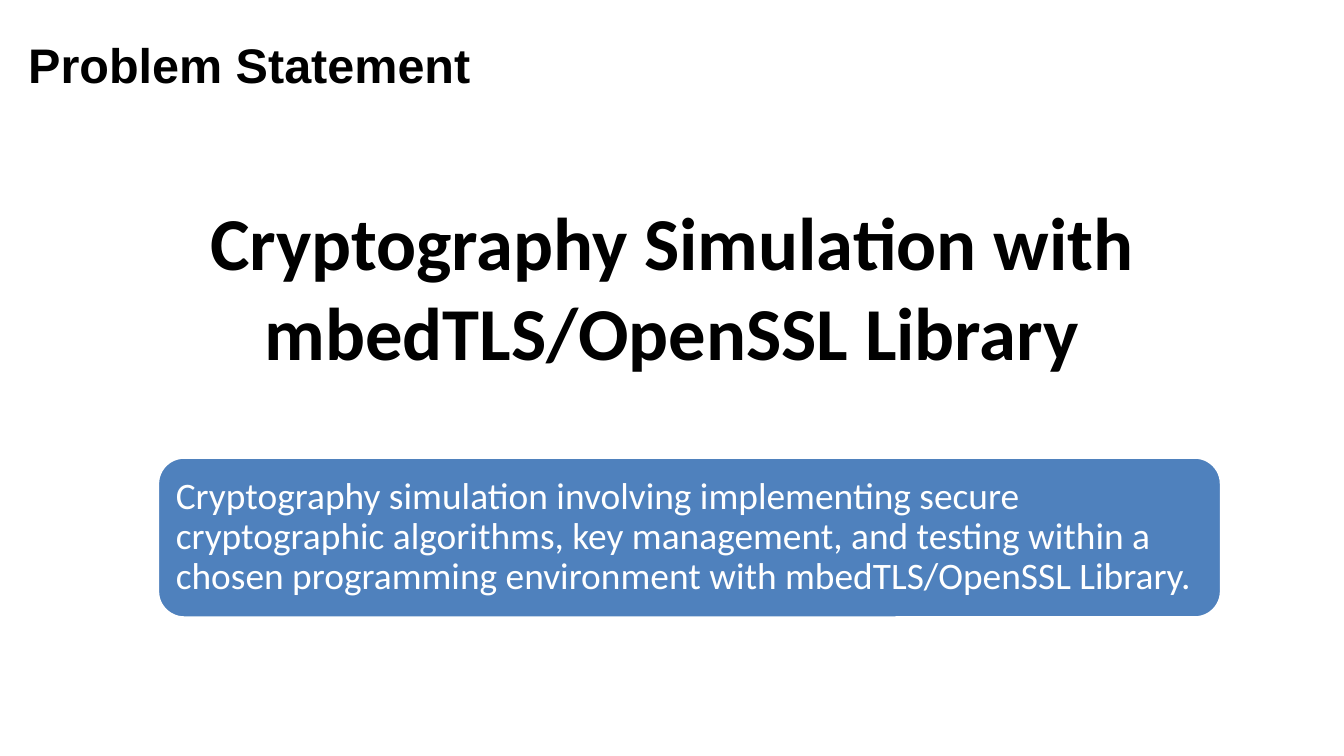
"""Build the problem statement slide: a heading, the project name and a summary box."""
import pptx
import pptx.dml.color
import pptx.enum.shapes
import pptx.enum.text
import pptx.util

Inches = pptx.util.Inches
Pt = pptx.util.Pt
RGBColor = pptx.dml.color.RGBColor
Align = pptx.enum.text.PP_ALIGN
Anchor = pptx.enum.text.MSO_ANCHOR
AutoSize = pptx.enum.text.MSO_AUTO_SIZE

COLORS = {"text": "000000", "box": "4F81BD", "light": "FFFFFF"}


def write_text(shape, lines, color, frame_format, paragraph_format, font_format):
    frame = shape.text_frame
    frame.text = "\n".join(lines)
    for name, value in frame_format.items():
        setattr(frame, name, value)
    for paragraph in frame.paragraphs:
        for name, value in paragraph_format.items():
            setattr(paragraph, name, value)
        for run in paragraph.runs:
            for name, value in font_format.items():
                setattr(run.font, name, value)
            run.font.color.rgb = RGBColor.from_string(COLORS[color])


presentation = pptx.Presentation()
presentation.slide_width = Inches(10)
presentation.slide_height = Inches(10) * 9 // 16
slide = presentation.slides.add_slide(presentation.slide_layouts[5])

title = slide.shapes.title
title_place = {"left": 0.2, "top": 0.25, "width": 3.32, "height": 0.46}
for name, value in title_place.items():
    setattr(title, name, Inches(value))
write_text(
    title, ["Problem Statement"], "text",
    {"margin_left": Inches(0.01), "margin_top": Inches(0.01), "margin_right": 0,
     "margin_bottom": 0, "vertical_anchor": Anchor.TOP, "word_wrap": False,
     "auto_size": AutoSize.SHAPE_TO_FIT_TEXT},
    {"alignment": Align.LEFT, "space_before": Pt(1.1)},
    {"name": "Arial", "size": Pt(26), "bold": True},
)

project_name = slide.shapes.add_textbox(Inches(1.42), Inches(1.41), Inches(7.16), Inches(1.45))
write_text(
    project_name, ["Cryptography Simulation with", "mbedTLS/OpenSSL Library"], "text",
    {"word_wrap": False, "auto_size": AutoSize.SHAPE_TO_FIT_TEXT},
    {"alignment": Align.CENTER},
    {"name": "Calibri", "size": Pt(40), "bold": True},
)

summary_box = slide.shapes.add_shape(
    pptx.enum.shapes.MSO_SHAPE.ROUNDED_RECTANGLE,
    Inches(1.17), Inches(3.4), Inches(7.92), Inches(1.2),
)
summary_box.shadow.inherit = False
summary_box.fill.solid()
summary_box.fill.fore_color.rgb = RGBColor.from_string(COLORS["box"])
summary_box.line.color.rgb = RGBColor.from_string(COLORS["light"])
summary_box.line.width = Pt(2)
summary = (
    "Cryptography simulation involving implementing secure cryptographic algorithms, "
    "key management, and testing within a chosen programming environment "
    "with mbedTLS/OpenSSL Library."
)
margins = {f"margin_{side}": Inches(0.08) for side in ("left", "top", "right", "bottom")}
write_text(
    summary_box, [summary], "light",
    {**margins, "vertical_anchor": Anchor.MIDDLE, "word_wrap": True},
    {"alignment": Align.LEFT, "line_spacing": 0.9},
    {"name": "Calibri", "size": Pt(20)},
)

presentation.save("out.pptx")
